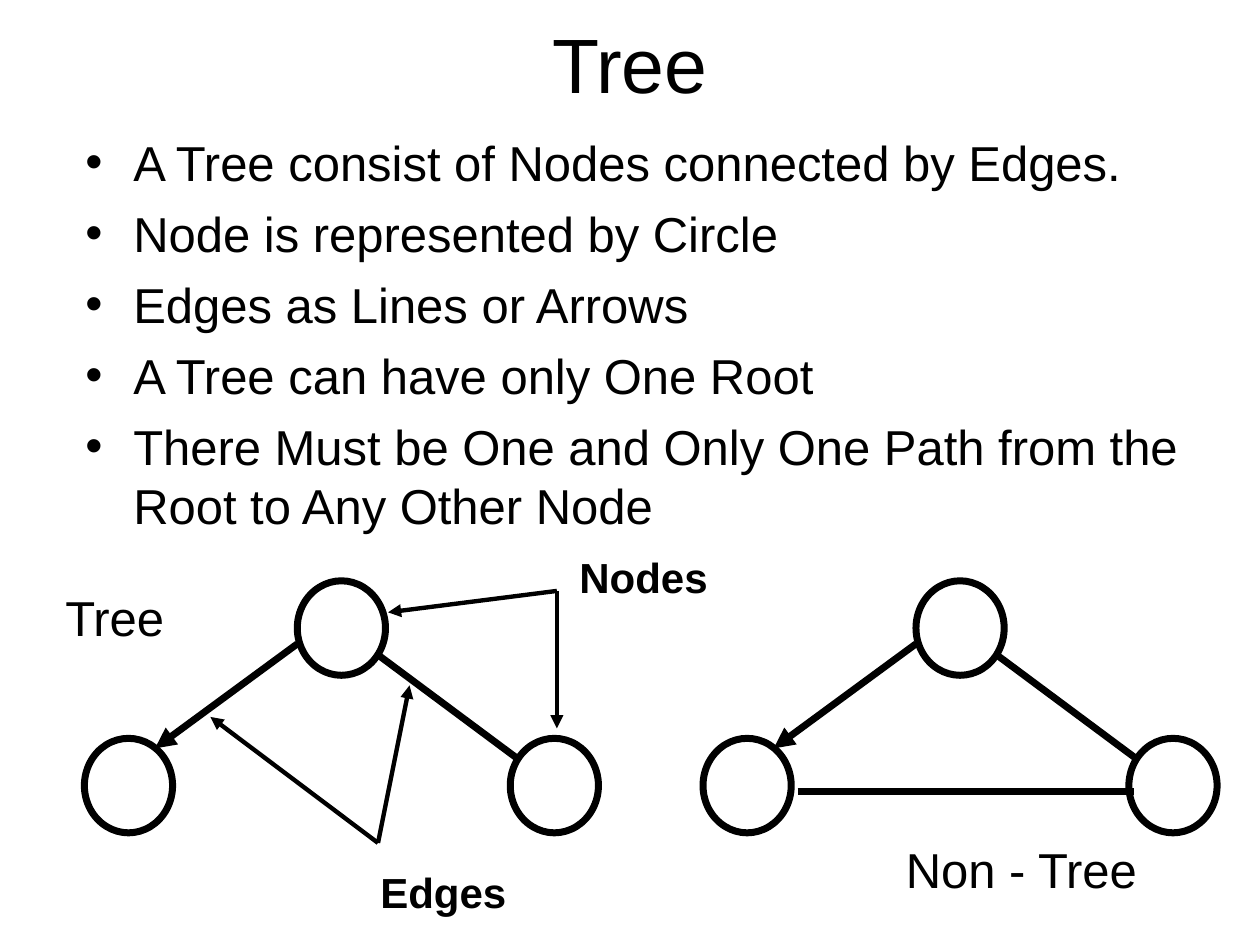
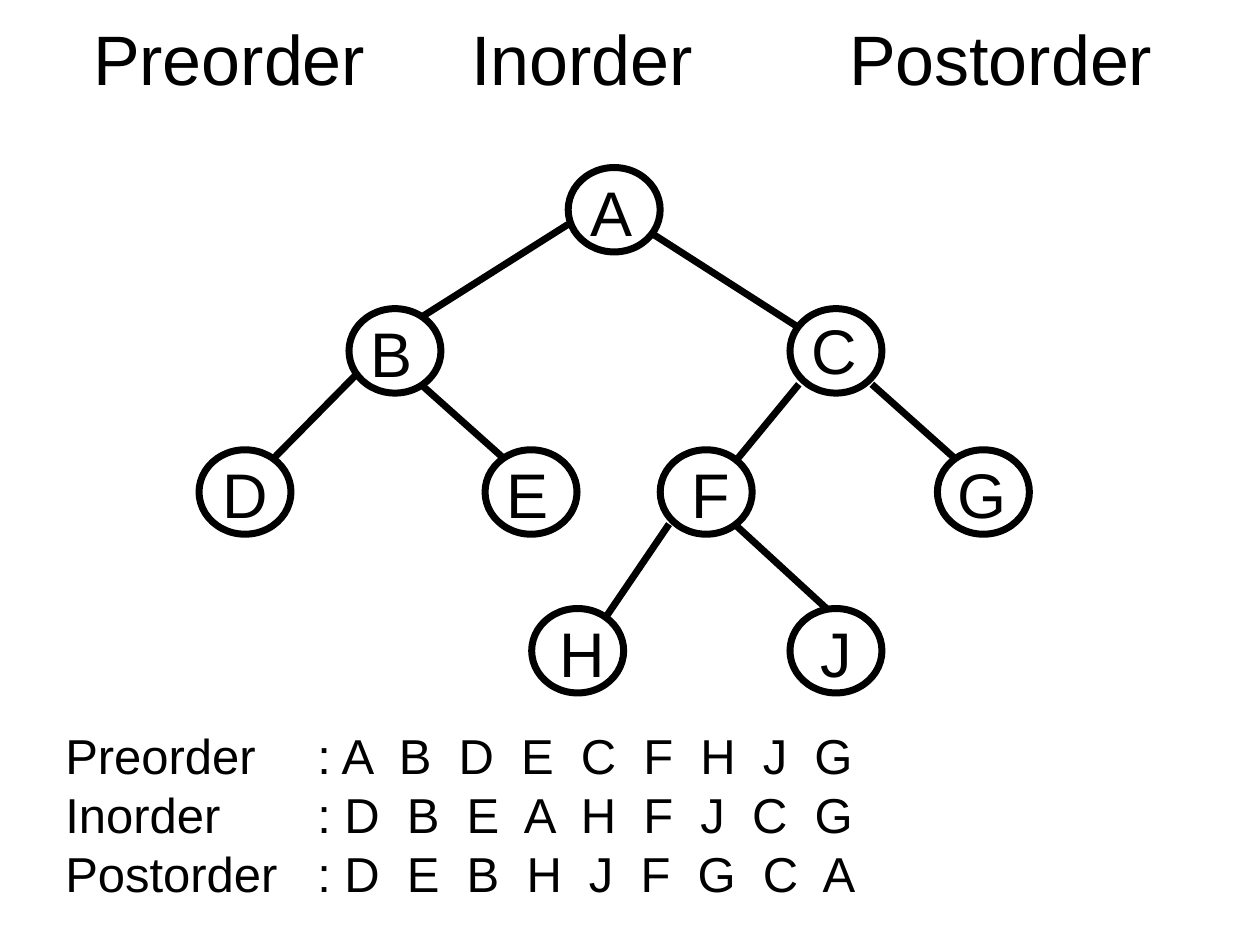
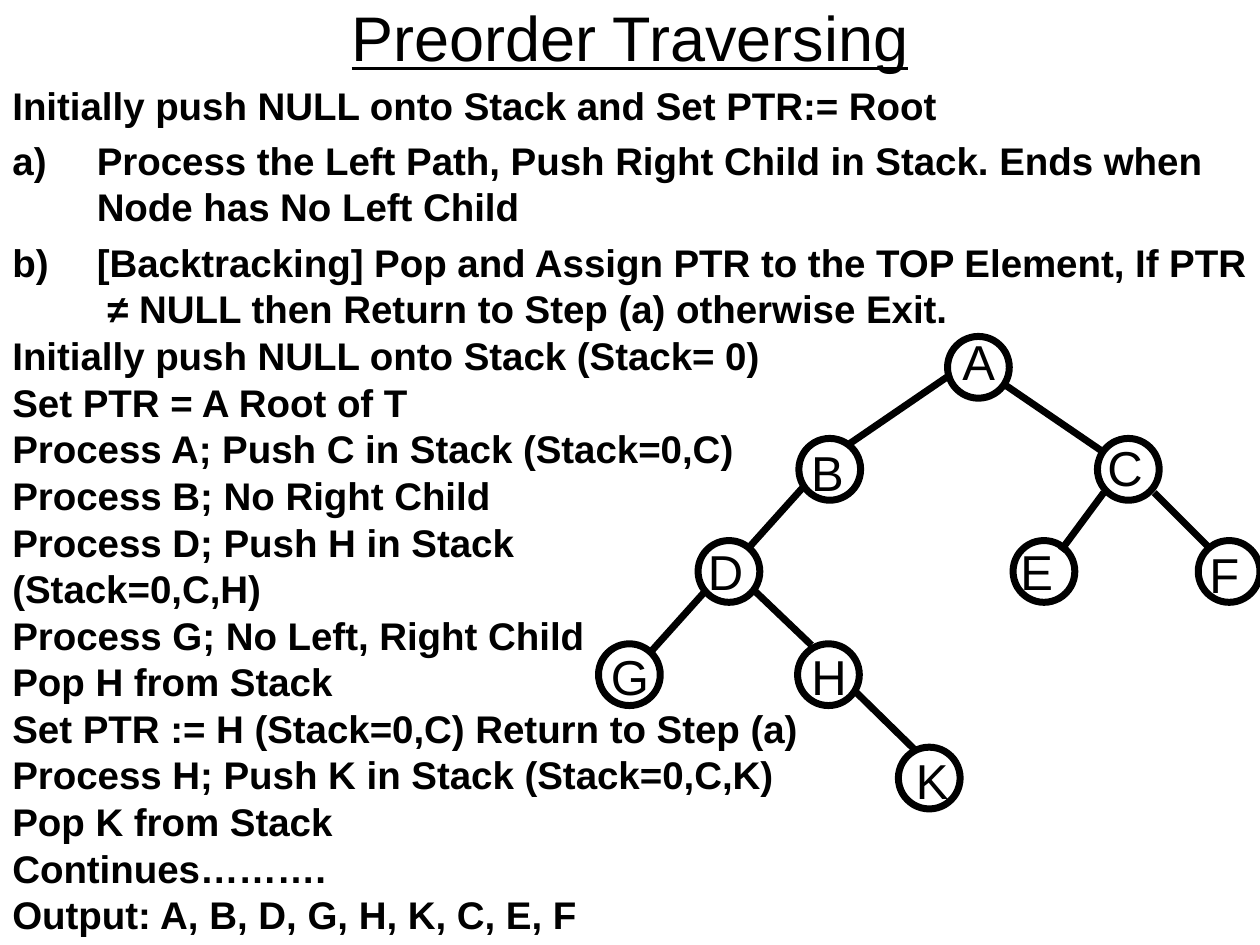
from lxml import etree
from pptx import Presentation
from pptx.dml.color import RGBColor
from pptx.enum.shapes import MSO_CONNECTOR, MSO_SHAPE
from pptx.enum.text import MSO_ANCHOR, PP_ALIGN
from pptx.oxml.ns import qn
from pptx.util import Pt

PX = 9144  # 100 px to the inch
FONT = "Arial"
COLORS = {"ink": "000000", "page": "FFFFFF"}
INK = RGBColor.from_string(COLORS["ink"])
EDGE, POINTER = 4, 2.5  # line widths in points

prs = Presentation()
prs.slide_width, prs.slide_height = 1000 * PX, 750 * PX


def add_text(shapes, box, text, size, bold=False, align=PP_ALIGN.LEFT,
             anchor=MSO_ANCHOR.TOP, wrap=True, tabs=()):
    tf = shapes.add_textbox(*[v * PX for v in box]).text_frame
    tf.text = text
    tf.word_wrap, tf.vertical_anchor = wrap, anchor
    for p in tf.paragraphs:
        p.alignment = align
        for r in p.runs:
            r.font.name, r.font.size, r.font.bold = FONT, Pt(size), bold
            r.font.color.rgb = INK
        if tabs:
            stops = etree.SubElement(p._p.get_or_add_pPr(), qn("a:tabLst"))
            for stop in tabs:
                etree.SubElement(stops, qn("a:tab"), pos=str(stop * PX), algn="l")
    return tf


def add_line(shapes, ends, width=EDGE, arrow=False):
    cn = shapes.add_connector(MSO_CONNECTOR.STRAIGHT, *[v * PX for v in ends])
    cn.line.color.rgb, cn.line.width = INK, Pt(width)
    if arrow:
        etree.SubElement(cn.line._get_or_add_ln(), qn("a:tailEnd"), type="triangle")
    etree.SubElement(cn._element.spPr, qn("a:effectLst"))


# Slides and titles
slides = []
for box, title, size in [((0, 8, 1000, 83), "Tree", 44),
                         ((64, 0, 936, 92), "Preorder\tInorder\tPostorder", 40),
                         ((50, 0, 900, 58), "Preorder Traversing", 36)]:
    s = prs.slides.add_slide(prs.slide_layouts[6])
    s.background.fill.solid()
    s.background.fill.fore_color.rgb = RGBColor.from_string(COLORS["page"])
    tabbed = "\t" in title
    tf = add_text(s.shapes, box, title, size, anchor=MSO_ANCHOR.MIDDLE,
                  align=PP_ALIGN.LEFT if tabbed else PP_ALIGN.CENTER,
                  tabs=(300, 600) if tabbed else ())
    slides.append(s)
intro, orders, preorder = slides
tf.paragraphs[0].runs[0].font.underline = True

# Slide 1: bullets
tf = add_text(intro.shapes, (58, 100, 900, 342), "\n".join([
    "A Tree consist of Nodes connected by Edges.",
    "Node is represented by Circle",
    "Edges as Lines or Arrows",
    "A Tree can have only One Root",
    "There Must be One and Only One Path from the Root to Any Other Node",
]), 28)
for p in tf.paragraphs:
    p.space_before = Pt(7)
    pPr = p._p.get_or_add_pPr()
    pPr.set("marL", str(38 * PX))
    pPr.set("indent", str(-38 * PX))
    etree.SubElement(pPr, qn("a:buFont"), typeface=FONT)
    etree.SubElement(pPr, qn("a:buChar"), char="•")

# Slide 1: the tree and the non-tree have the same three nodes
circles = []
for left in (67, 558):
    group = intro.shapes.add_group_shape().shapes
    for dx, y in [(169, 461), (0, 586), (338, 586)]:
        circles.append((group, left + dx, y, 70, 75))
    add_line(group, (left + 232, 519, left + 345, 603))
    add_line(group, (left + 169, 511, left + 56, 594), arrow=True)
add_line(intro.shapes, (633, 628, 900, 628))

# Slide 1: captions and pointers
for box, caption, size, bold in [((42, 461, 100, 57), "Tree", 28, False),
                                 ((292, 683, 120, 50), "Edges", 24, True),
                                 ((450, 433, 122, 50), "Nodes", 24, True),
                                 ((709, 661, 205, 57), "Non - Tree", 28, False)]:
    add_text(intro.shapes, box, caption, size, bold, wrap=False)
for ends in [(300, 669, 325, 544), (300, 669, 167, 569),
             (442, 469, 308, 486), (442, 469, 442, 578)]:
    add_line(intro.shapes, ends, POINTER, arrow=True)

# Slide 2: the three results
add_text(orders.shapes, (42, 600, 900, 92), "\n".join([
    "Preorder\t: A  B  D  E  C  F  H  J  G",
    "Inorder\t: D  B  E  A  H  F  J  C  G",
    "Postorder\t: D  E  B  H  J  F  G  C  A",
]), 28, anchor=MSO_ANCHOR.MIDDLE, tabs=(200,))

# Slide 3: algorithm and trace
tf = add_text(preorder.shapes, (0, 67, 1000, 683), "\n".join([
    "Initially push NULL onto Stack and Set PTR:= Root",
    "Process the Left Path, Push Right Child in Stack. Ends when Node has No Left Child",
    "[Backtracking] Pop and Assign PTR to the TOP Element, If PTR  ≠ NULL then "
    "Return to Step (a) otherwise Exit.",
    "Initially push NULL onto Stack (Stack= 0)",
    "Set PTR = A Root of T",
    "Process A; Push C in Stack (Stack=0,C)",
    "Process B; No Right Child",
    "Process D; Push H in Stack",
    "(Stack=0,C,H)",
    "Process G; No Left, Right Child",
    "Pop H from Stack",
    "Set PTR := H (Stack=0,C) Return to Step (a)",
    "Process H; Push K in Stack (Stack=0,C,K)",
    "Pop K from Stack",
    "Continues……….",
    "Output: A, B, D, G, H, K, C, E, F",
]), 22, bold=True)
for i, p in enumerate(tf.paragraphs):
    numbered = i in (1, 2)
    p.space_before = Pt(5.5)
    p.line_spacing = 1.0 if numbered else 0.8
    pPr = p._p.get_or_add_pPr()
    pPr.set("marL", str(67 * PX))
    pPr.set("indent", str(-67 * PX))
    if numbered:
        etree.SubElement(pPr, qn("a:buFont"), typeface=FONT)
        etree.SubElement(pPr, qn("a:buAutoNum"), type="alphaLcParenR")

# Slides 2 and 3: node letter, circle left and top, letter left and top
order_nodes = [
    ("A", 451, 133, 459, 133), ("B", 277, 245, 284, 245), ("C", 627, 245, 634, 242),
    ("D", 158, 357, 167, 357), ("E", 385, 357, 392, 357), ("F", 524, 357, 539, 357),
    ("G", 744, 357, 750, 357), ("H", 422, 483, 434, 483), ("J", 627, 483, 641, 483),
]
order_edges = [
    (451, 178, 334, 252), (517, 185, 634, 260), (283, 297, 217, 364),
    (334, 305, 400, 364), (634, 305, 583, 367), (692, 305, 758, 364),
    (531, 416, 480, 491), (583, 416, 656, 483),
]
preorder_nodes = [
    ("A", 752, 267, 754, 258), ("B", 634, 348, 634, 346), ("C", 871, 348, 869, 342),
    ("D", 554, 429, 552, 425), ("E", 804, 429, 800, 425), ("F", 951, 429, 950, 427),
    ("G", 475, 511, 475, 508), ("H", 633, 511, 634, 508), ("K", 713, 593, 717, 591),
]
preorder_edges = [
    (752, 299, 673, 353), (797, 305, 876, 359), (638, 386, 594, 435),
    (876, 391, 842, 437), (916, 391, 960, 435), (559, 470, 515, 519),
    (599, 469, 644, 512), (678, 548, 728, 597),
]
# Arial letter widths in em set the width of each letter's box
EM = {"C": 0.72, "D": 0.72, "F": 0.61, "G": 0.78, "H": 0.72, "J": 0.5}
for s, nodes, edges, (w, h), size, label_h in [
        (orders, order_nodes, order_edges, (73, 67), 36, 70),
        (preorder, preorder_nodes, preorder_edges, (49, 49), 28, 57)]:
    for ends in edges:
        add_line(s.shapes, ends)
    for letter, x, y, label_x, label_y in nodes:
        circles.append((s.shapes, x, y, w, h))
        label_w = 20 + round(EM.get(letter, 0.67) * size / 72 * 100)
        add_text(s.shapes, (label_x, label_y, label_w, label_h), letter, size, wrap=False)

# Node circles on all slides
for shapes, *box in circles:
    sp = shapes.add_shape(MSO_SHAPE.OVAL, *[v * PX for v in box])
    sp.shadow.inherit = False
    sp.fill.background()
    sp.line.color.rgb, sp.line.width = INK, Pt(EDGE)

prs.save("out.pptx")
